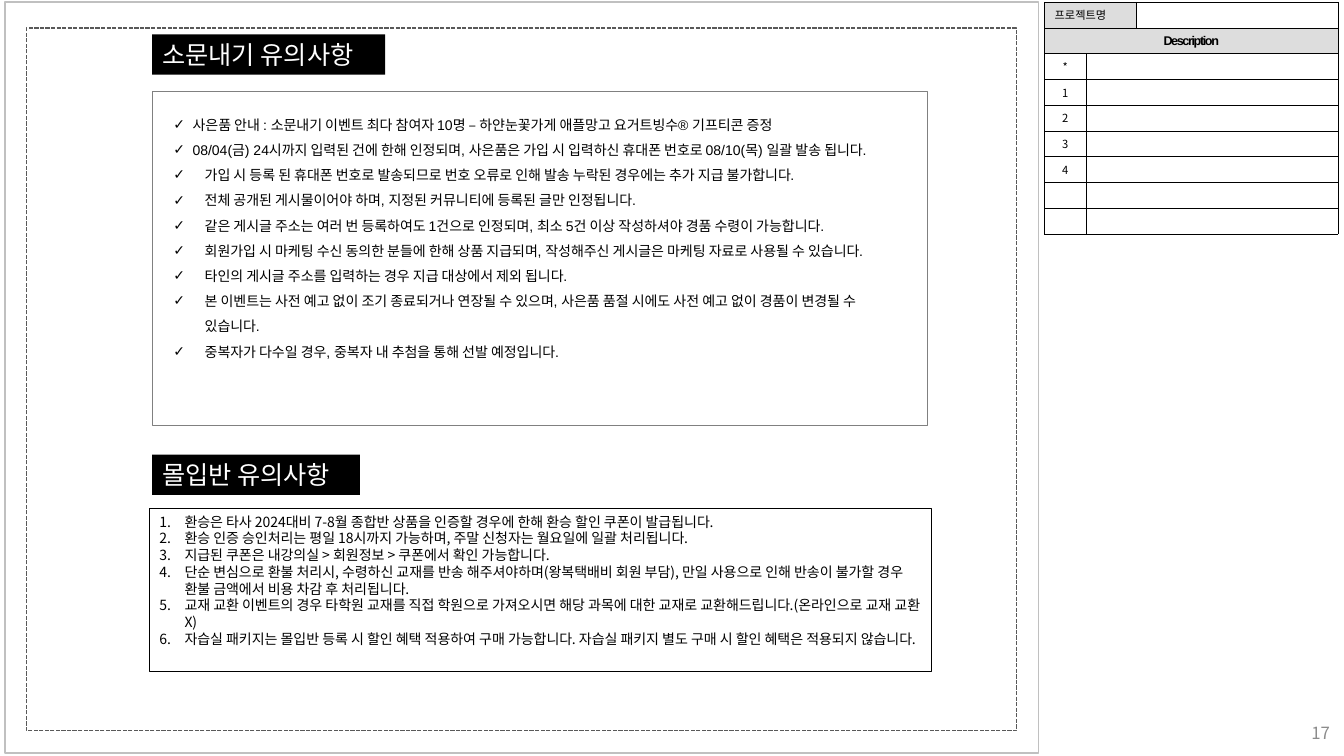
from dataclasses import dataclass
from lxml.etree import SubElement
from pptx import Presentation
from pptx.dml.color import RGBColor
from pptx.enum.dml import MSO_LINE
from pptx.enum.shapes import MSO_SHAPE
from pptx.enum.text import MSO_ANCHOR, MSO_AUTO_SIZE, PP_ALIGN
from pptx.oxml.ns import qn
from pptx.util import Inches, Pt

SHARE_TITLE = "소문내기 유의사항"
SHARE_NOTES = [
    (0.19, "사은품 안내 : 소문내기 이벤트 최다 참여자 10명 – 하얀눈꽃가게 애플망고 요거트빙수® 기프티콘 증정"),
    (0.19, "08/04(금) 24시까지 입력된 건에 한해 인정되며, 사은품은 가입 시 입력하신 휴대폰 번호로 08/10(목) 일괄 발송 됩니다."),
    (0.31, "가입 시 등록 된 휴대폰 번호로 발송되므로 번호 오류로 인해 발송 누락된 경우에는 추가 지급 불가합니다."),
    (0.31, "전체 공개된 게시물이어야 하며, 지정된 커뮤니티에 등록된 글만 인정됩니다."),
    (0.31, "같은 게시글 주소는 여러 번 등록하여도 1건으로 인정되며, 최소 5건 이상 작성하셔야 경품 수령이 가능합니다."),
    (0.31, "회원가입 시 마케팅 수신 동의한 분들에 한해 상품 지급되며, 작성해주신 게시글은 마케팅 자료로 사용될 수 있습니다."),
    (0.31, "타인의 게시글 주소를 입력하는 경우 지급 대상에서 제외 됩니다."),
    (0.31, "본 이벤트는 사전 예고 없이 조기 종료되거나 연장될 수 있으며, 사은품 품절 시에도 사전 예고 없이 경품이 변경될 수 있습니다."),
    (0.31, "중복자가 다수일 경우, 중복자 내 추첨을 통해 선발 예정입니다."),
]
CLASS_TITLE = "몰입반 유의사항"
CLASS_NOTES = [
    (0.25, "환승은 타사 2024대비 7-8월 종합반 상품을 인증할 경우에 한해 환승 할인 쿠폰이 발급됩니다."),
    (0.25, "환승 인증 승인처리는 평일 18시까지 가능하며, 주말 신청자는 월요일에 일괄 처리됩니다."),
    (0.25, "지급된 쿠폰은 내강의실 > 회원정보 > 쿠폰에서 확인 가능합니다."),
    (0.25, "단순 변심으로 환불 처리시, 수령하신 교재를 반송 해주셔야하며(왕복택배비 회원 부담), 만일 사용으로 인해 반송이 불가할 경우 환불 금액에서 비용 차감 후 처리됩니다."),
    (0.25, "교재 교환 이벤트의 경우 타학원 교재를 직접 학원으로 가져오시면 해당 과목에 대한 교재로 교환해드립니다.(온라인으로 교재 교환X)"),
    (0.25, "자습실 패키지는 몰입반 등록 시 할인 혜택 적용하여 구매 가능합니다. 자습실 패키지 별도 구매 시 할인 혜택은 적용되지 않습니다."),
]
PROJECT_LABEL = "프로젝트명"
DESCRIPTION = "Description"
ITEMS = ["*", "1", "2", "3", "4", "", ""]
PAGE = "17"


@dataclass(frozen=True)
class Theme:
    black: str = "000000"
    white: str = "FFFFFF"
    page: str = "C0C0C0"
    dash: str = "595959"
    frame: str = "808080"
    number: str = "8C8C8C"
    label: str = "DDDDDD"
    sans: str = "Arial"
    korean: str = "Noto Sans CJK KR"
    heading: int = 18
    footer: int = 12
    body: int = 10
    column: int = 9
    cell: int = 8


T = Theme()


def rgb(color):
    return RGBColor.from_string(color)


def add_run(p, text, size, font, color):
    r = p.add_run()
    r.text = text
    r.font.size, r.font.name = Pt(size), font
    r.font.color.rgb = rgb(color)
    return r


def place(sp, box):
    sp.left, sp.top, sp.width, sp.height = map(Inches, box)


def add_frame(shapes, box, color, width):
    sp = shapes.add_shape(MSO_SHAPE.RECTANGLE, *map(Inches, box))
    sp.shadow.inherit = False
    sp.fill.background()
    sp.line.color.rgb = rgb(color)
    sp.line.width = Pt(width)
    return sp


def set_frame(tf, anchor):
    tf.word_wrap = True
    tf.auto_size = MSO_AUTO_SIZE.NONE
    tf.vertical_anchor = anchor


def write_heading(sp, text):
    sp.fill.solid()
    sp.fill.fore_color.rgb = rgb(T.black)
    set_frame(sp.text_frame, MSO_ANCHOR.TOP)
    p = sp.text_frame.paragraphs[0]
    p.alignment = PP_ALIGN.LEFT
    add_run(p, text, T.heading, T.sans, T.white)


def write_list(sp, notes, bullet, value, font, pitch):
    tf = sp.text_frame
    set_frame(tf, MSO_ANCHOR.TOP)
    for i, (indent, text) in enumerate(notes):
        p = tf.paragraphs[0] if i == 0 else tf.add_paragraph()
        p.alignment = PP_ALIGN.LEFT
        p.space_before = Pt(0)
        p.line_spacing = Pt(pitch)
        pPr = p._p.get_or_add_pPr()
        pPr.set("marL", str(Inches(indent)))
        pPr.set("indent", str(-Inches(indent)))
        SubElement(pPr, qn("a:" + bullet[0])).set(bullet[1], value)
        add_run(p, text, T.body, font, T.black)


def style_cell(cell, fill):
    cell.fill.solid()
    cell.fill.fore_color.rgb = rgb(fill)
    cell.vertical_anchor = MSO_ANCHOR.MIDDLE
    cell.margin_top = cell.margin_bottom = Inches(0.02)
    tcPr = cell._tc.get_or_add_tcPr()
    for i, side in enumerate(("lnL", "lnR", "lnT", "lnB")):
        ln = SubElement(tcPr, qn("a:" + side), w=str(Pt(0.25)))
        SubElement(SubElement(ln, qn("a:solidFill")), qn("a:srgbClr"), val=T.black)
        tcPr.insert(i, ln)


def write_cell(cell, text, size=T.cell, font=T.korean, align=PP_ALIGN.CENTER):
    p = cell.text_frame.paragraphs[0]
    p.alignment = align
    return add_run(p, text, size, font, T.black)


def add_description(shapes):
    count = len(ITEMS) + 2
    box = (10.36, 0.02, 2.9, 2.3)
    table = shapes.add_table(count, 3, *map(Inches, box)).table
    table.first_row = table.horz_banding = False
    for col, width in zip(table.columns, (0.41, 0.5, 2)):
        col.width = Inches(width)
    for i, row in enumerate(table.rows):
        row.height = Inches(box[3] / count)
        for j, cell in enumerate(row.cells):
            shaded = i == 1 or (i == 0 and j < 2)
            style_cell(cell, T.label if shaded else T.white)
            first, last = [(0, 1), (0, 2)][i] if i < 2 else (1, 2)
            if j == first:
                cell.merge(table.cell(i, last))
    write_cell(table.cell(0, 0), PROJECT_LABEL, align=PP_ALIGN.LEFT)
    r = write_cell(table.cell(1, 0), DESCRIPTION, T.column, T.sans)
    r.font.bold = True
    r._r.get_or_add_rPr().set("spc", "-100")
    for i, item in enumerate(ITEMS, 2):
        cell = table.cell(i, 0)
        cell.margin_left = cell.margin_right = Inches(0.04)
        if item:
            write_cell(cell, item)
    for cell in table.iter_cells():
        p = cell.text_frame.paragraphs[0]
        if not p.runs:
            SubElement(p._p, qn("a:endParaRPr"), sz=str(T.cell * 100))


def main():
    prs = Presentation()
    prs.slide_width, prs.slide_height = Inches(13.33), Inches(7.5)
    s = prs.slides.add_slide(prs.slide_layouts[3])
    title, share, classes = s.placeholders

    add_frame(s.shapes, (0.05, 0.02, 10.25, 7.45), T.page, 1)
    dashed = add_frame(s.shapes, (0.26, 0.28, 9.82, 6.97), T.dash, 1)
    dashed.line.dash_style = MSO_LINE.SQUARE_DOT
    add_frame(s.shapes, (1.51, 0.9, 7.69, 3.32), T.frame, 0.25)

    place(title, (1.51, 0.34, 2.31, 0.4))
    write_heading(title, SHARE_TITLE)
    place(share, (1.62, 1.02, 7.39, 3.35))
    write_list(share, SHARE_NOTES, ("buChar", "char"), "✓", T.sans, 18)

    class_title = s.shapes.add_textbox(*map(Inches, (1.51, 4.51, 2.06, 0.4)))
    write_heading(class_title, CLASS_TITLE)
    place(classes, (1.48, 5.04, 7.76, 1.62))
    classes.line.color.rgb = rgb(T.black)
    classes.line.width = Pt(0.75)
    write_list(classes, CLASS_NOTES, ("buAutoNum", "type"), "arabicPeriod", T.korean, 12)

    add_description(s.shapes)
    page = s.shapes.add_textbox(*map(Inches, (10.29, 7.07, 3, 0.4)))
    set_frame(page.text_frame, MSO_ANCHOR.MIDDLE)
    p = page.text_frame.paragraphs[0]
    p.alignment = PP_ALIGN.RIGHT
    add_run(p, PAGE, T.footer, T.korean, T.number)
    prs.save("out.pptx")


if __name__ == "__main__":
    main()
